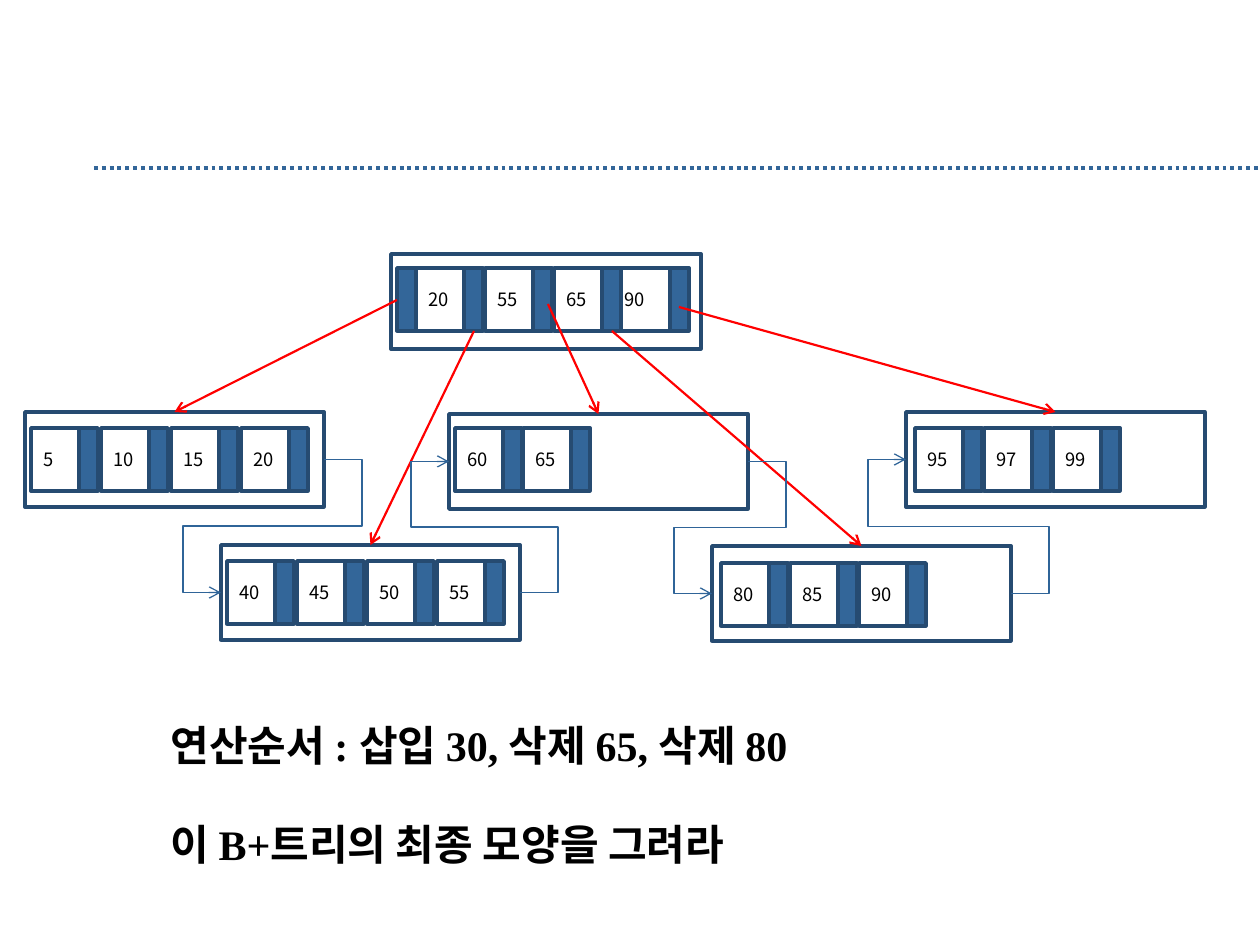
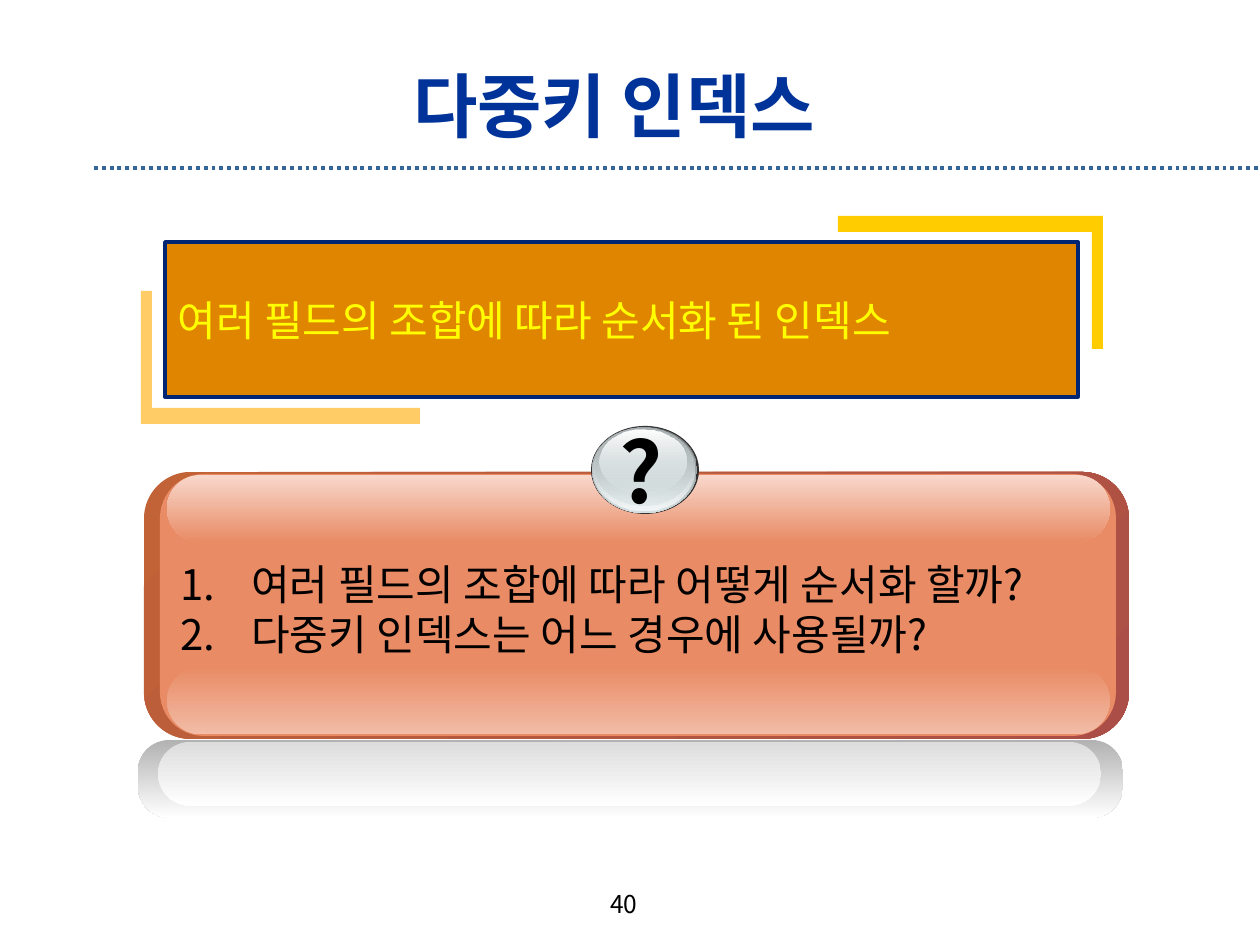
"""Build two lecture slides: a B+ tree exercise and an introduction to multi-key indexes."""
import pptx
import pptx.util
import pptx.dml.color
import pptx.enum.dml
import pptx.enum.shapes
import pptx.enum.text
import pptx.oxml
import pptx.oxml.ns
import lxml.etree

SCALE = 914400 // 126
SANS, SERIF = "Noto Sans CJK KR", "Times New Roman"
BLUE, EDGE, LINK, RED = "336699", "264B71", "2F6498", "FF0000"
WHITE, BLACK, NAVY = "FFFFFF", "000000", "003399"

KEY_WIDTH, POINTER_WIDTH, CELL_HEIGHT = 48, 19, 63
LEAF_WIDTH, NODE_HEIGHT, LINK_STUB = 299, 95, 38
ROOT = {"frame": (391, 254, 310, NODE_HEIGHT), "cells": (416, 268), "pitch": 69, "keys": (20, 55, 65)}
ROOT_LAST_KEY = (90, (612, 268, 58, CELL_HEIGHT))
ROOT_END_POINTERS = (397, 670)
LEAVES = [
    {"frame": (25, 412), "cells": (31, 428), "pitch": 70, "keys": (5, 10, 15, 20)},
    {"frame": (221, 545), "cells": (227, 561), "pitch": 70, "keys": (40, 45, 50, 55)},
    {"frame": (449, 414), "cells": (455, 428), "pitch": 68, "keys": (60, 65)},
    {"frame": (712, 546), "cells": (721, 563), "pitch": 69, "keys": (80, 85, 90)},
    {"frame": (906, 412), "cells": (915, 428), "pitch": 69, "keys": (95, 97, 99)},
]
BRANCH_STARTS = [(397, 300), (474, 331), (548, 304), (612, 331), (679, 307)]
EXERCISE = ["연산순서 : 삽입 30, 삭제 65, 삭제 80", "이 B+트리의 최종 모양을 그려라"]

TITLE = "다중키 인덱스"
DEFINITION = "여러 필드의 조합에 따라 순서화 된 인덱스"
QUESTIONS = ["여러 필드의 조합에 따라 어떻게 순서화 할까?", "다중키 인덱스는 어느 경우에 사용될까?"]
PAGE_NUMBER = "40"
BRACKETS = [((141, 424), (279, -133), "FFCC66"), ((1103, 216), (-265, 133), "FFCC00")]
PANEL = [
    ((144, 472, 985, 267), 0.175, [("C16237", 100), ("AB4E47", 100)], 45),
    ((160, 474, 956, 262), 0.167, "E98B65", 0),
    ((167, 667, 943, 67), 0.5, [("E98B65", 100), ("F2BCA6", 100)], 90),
    ((167, 475, 943, 67), 0.5, [("F8D8CC", 100), ("E98B65", 100)], 90),
    ((138, 740, 985, 78), 0.404, [("B2B2B2", 100), ("FFFFFF", 100)], 90),
    ((158, 742, 943, 64), 0.5, [("DDDDDD", 100), ("FFFFFF", 100)], 90),
]
BADGE = [
    ((591, 426, 108, 88), "333333"),
    ((592, 427, 105, 86), [("636869", 100), ("D6E1E2", 100)]),
    ((593, 427, 102, 83), [("D6E1E2", 0), ("F1F5F5", 100)]),
    ((595, 428, 97, 78), [("AAB2B3", 100), ("D6E1E2", 48)]),
    ((600, 430, 87, 63), [("FFFFFF", 100), ("D6E1E2", 38)]),
]

SHAPE = pptx.enum.shapes.MSO_SHAPE
CONNECTOR = pptx.enum.shapes.MSO_CONNECTOR
ALIGN = pptx.enum.text.PP_ALIGN
ANCHOR = pptx.enum.text.MSO_ANCHOR


def px(*lengths):
    return [round(length * SCALE) for length in lengths]


def colour(value):
    return pptx.dml.color.RGBColor.from_string(value)


def child(parent, tag, **attributes):
    return lxml.etree.SubElement(parent, pptx.oxml.ns.qn(tag), attributes)


def write(shape, text, size=24, font=SANS, ink=BLACK, bold=False, align=ALIGN.LEFT,
          anchor=ANCHOR.TOP, wrap=True, gap=0, numbered=False):
    frame = shape.text_frame
    frame.word_wrap, frame.vertical_anchor = wrap, anchor
    for index, line in enumerate([text] if isinstance(text, str) else text):
        paragraph = frame.add_paragraph() if index else frame.paragraphs[0]
        paragraph.alignment = align
        if index:
            paragraph.space_before = pptx.util.Pt(gap)
        if numbered:
            properties = paragraph._p.get_or_add_pPr()
            properties.set("marL", str(px(71)[0]))
            properties.set("indent", str(px(-71)[0]))
            child(properties, "a:buFont", typeface="+mj-lt")
            child(properties, "a:buAutoNum", type="arabicPeriod")
        run = paragraph.add_run()
        run.text = line
        run.font.size, run.font.bold, run.font.name = pptx.util.Pt(size), bold, font
        run.font.color.rgb = colour(ink)
        child(run._r.get_or_add_rPr(), "a:ea", typeface=SANS)


def text_box(slide, box, text, **style):
    write(slide.shapes.add_textbox(*px(*box)), text, **style)


def paint(shape, fill=None, edge=None, angle=90):
    shape.shadow.inherit = False
    if fill is None:
        shape.fill.background()
    elif isinstance(fill, str):
        shape.fill.solid()
        shape.fill.fore_color.rgb = colour(fill)
    else:
        shape.fill.gradient()
        shape.fill.gradient_angle = 360 - angle
        for stop, (tint, opacity) in zip(shape.fill.gradient_stops, fill):
            stop.color.rgb = colour(tint)
        tints = shape.element.spPr.iter(pptx.oxml.ns.qn("a:srgbClr"))
        for tint, (_, opacity) in zip(list(tints), fill):
            if opacity < 100:
                child(tint, "a:alpha", val=str(opacity * 1000))
    if edge:
        shape.line.color.rgb = colour(edge)
        shape.line.width = pptx.util.Pt(2)
    else:
        shape.line.fill.background()
    return shape


def block(slide, box, fill=None, edge=None, kind=SHAPE.RECTANGLE, angle=90):
    return paint(slide.shapes.add_shape(kind, *px(*box)), fill, edge, angle)


def connect(slide, start, end, ink, width, arrow=True, stub=0):
    kind = CONNECTOR.ELBOW if stub else CONNECTOR.STRAIGHT
    line = slide.shapes.add_connector(kind, *px(*start, *end))
    line.line.color.rgb = colour(ink)
    line.line.width = pptx.util.Pt(width)
    if arrow:
        child(line.line._get_or_add_ln(), "a:tailEnd", type="arrow")
    properties = line._element.spPr
    child(properties, "a:effectLst")
    if stub:
        geometry = properties.find(pptx.oxml.ns.qn("a:prstGeom"))
        geometry.set("prst", "bentConnector5")
        guides = geometry.find(pptx.oxml.ns.qn("a:avLst"))
        if guides is None:
            guides = child(geometry, "a:avLst")
        reach = stub / abs(end[0] - start[0])
        for number, share in enumerate((-reach, 0.5, 1 + reach), 1):
            child(guides, "a:gd", name=f"adj{number}", fmla=f"val {round(share * 100000)}")
    return line


def key_cell(slide, key, box):
    write(block(slide, box, WHITE, EDGE), str(key), size=10.5, anchor=ANCHOR.MIDDLE)


def pointer_cell(slide, left, top):
    block(slide, (left, top, POINTER_WIDTH, CELL_HEIGHT), BLUE, EDGE)


def tree_node(slide, frame, cells, pitch, keys):
    left, top = cells
    for index, key in enumerate(keys):
        key_left = left + index * pitch
        pointer_cell(slide, key_left + KEY_WIDTH, top)
        key_cell(slide, key, (key_left, top, KEY_WIDTH, CELL_HEIGHT))
    block(slide, (*frame, LEAF_WIDTH, NODE_HEIGHT)[:2] + (frame[2:] or (LEAF_WIDTH, NODE_HEIGHT)), None, EDGE)


def bracket(slide, corner, arms, fill):
    (x, y), (across, along) = corner, arms
    thick_x = 11 if across > 0 else -11
    thick_y = 16 if along > 0 else -16
    outline = [(x + across, y), (x + across, y + thick_y), (x + thick_x, y + thick_y),
               (x + thick_x, y + along), (x, y + along)]
    builder = slide.shapes.build_freeform(x, y, scale=SCALE)
    builder.add_line_segments(outline, close=True)
    paint(builder.convert_to_shape(), fill)


def new_slide(deck):
    slide = deck.slides.add_slide(deck.slide_layouts[6])
    rule = connect(slide, (94, 168), (1260, 168), BLUE, 2.25, arrow=False)
    rule.line.dash_style = pptx.enum.dml.MSO_LINE.ROUND_DOT
    return slide


def tree_slide(deck):
    slide = new_slide(deck)
    key_cell(slide, *ROOT_LAST_KEY)
    for node in [*LEAVES, ROOT]:
        tree_node(slide, **node)
    for left in ROOT_END_POINTERS:
        pointer_cell(slide, left, ROOT["cells"][1])
    for start, leaf in zip(BRANCH_STARTS, LEAVES):
        left, top = leaf["frame"]
        connect(slide, start, (left + LEAF_WIDTH / 2, top), RED, 1.25)
    for leaf, following in zip(LEAVES, LEAVES[1:]):
        (left, top), (next_left, next_top) = leaf["frame"], following["frame"]
        connect(slide, (left + LEAF_WIDTH, top + NODE_HEIGHT / 2),
                (next_left, next_top + NODE_HEIGHT / 2), LINK, 0.75, stub=LINK_STUB)
    text_box(slide, (158, 713, 825, 165), EXERCISE, font=SERIF, bold=True, gap=28)


def index_slide(deck):
    slide = new_slide(deck)
    text_box(slide, (514, 883, 220, 45), PAGE_NUMBER, size=14, align=ALIGN.CENTER)
    text_box(slide, (94, 63, 1040, 84), TITLE, size=40, ink=NAVY, bold=True,
             align=ALIGN.CENTER, anchor=ANCHOR.MIDDLE)
    for corner, arms, fill in BRACKETS:
        bracket(slide, corner, arms, fill)
    definition = block(slide, (165, 242, 913, 155), "E08500", "002673")
    write(definition, DEFINITION, ink="FFFF00", anchor=ANCHOR.MIDDLE)
    for box, rounding, fill, angle in PANEL:
        layer = block(slide, box, fill, kind=SHAPE.ROUNDED_RECTANGLE, angle=angle)
        layer.adjustments[0] = rounding
    text_box(slide, (168, 552, 937, 115), QUESTIONS, numbered=True)
    for box, fill in BADGE:
        block(slide, box, fill, kind=SHAPE.OVAL)
    text_box(slide, (607, 413, 73, 115), "?", size=48, bold=True, wrap=False)


deck = pptx.Presentation()
deck.slide_width, deck.slide_height = px(1260, 945)
tree_slide(deck)
index_slide(deck)
deck.save("out.pptx")
